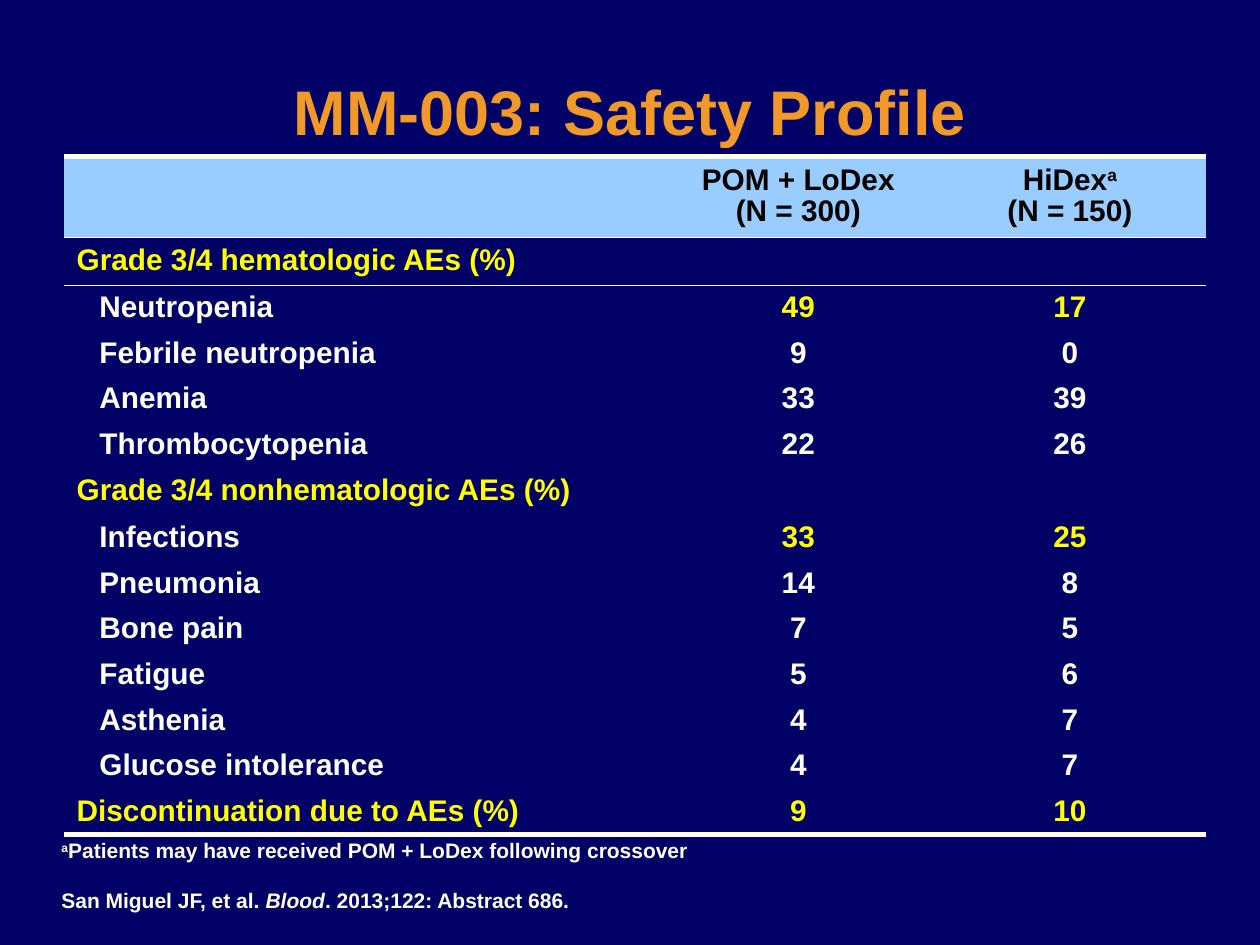
import pptx
import pptx.dml.color
import pptx.enum.text
import pptx.oxml
import pptx.oxml.ns
import pptx.util

Pt = pptx.util.Pt
RGBColor = pptx.dml.color.RGBColor
Align = pptx.enum.text.PP_ALIGN
Anchor = pptx.enum.text.MSO_ANCHOR

NAVY = RGBColor(0x00, 0x00, 0x66)
ORANGE = RGBColor(0xF0, 0x98, 0x28)
SKY = RGBColor(0x99, 0xCC, 0xFF)
YELLOW = RGBColor(0xFF, 0xFF, 0x00)
WHITE = RGBColor(0xFF, 0xFF, 0xFF)
BLACK = RGBColor(0x00, 0x00, 0x00)

NAMESPACE = pptx.oxml.ns.nsdecls("a")
NO_GRID_STYLE = "{2D5ABB26-0587-4C30-8999-92F81FD0307C}"
LABEL_INDENT = 13

HEADINGS = [
    [],
    [[("POM + LoDex", False)], [("(N = 300)", False)]],
    [[("HiDex", False), ("a", True)], [("(N = 150)", False)]],
]
SAFETY_ROWS = [
    ("Grade 3/4 hematologic AEs (%)", "", "", YELLOW, YELLOW),
    ("Neutropenia", "49", "17", WHITE, YELLOW),
    ("Febrile neutropenia", "9", "0", WHITE, WHITE),
    ("Anemia", "33", "39", WHITE, WHITE),
    ("Thrombocytopenia", "22", "26", WHITE, WHITE),
    ("Grade 3/4 nonhematologic AEs (%)", "", "", YELLOW, YELLOW),
    ("Infections", "33", "25", WHITE, YELLOW),
    ("Pneumonia", "14", "8", WHITE, WHITE),
    ("Bone pain", "7", "5", WHITE, WHITE),
    ("Fatigue", "5", "6", WHITE, WHITE),
    ("Asthenia", "4", "7", WHITE, WHITE),
    ("Glucose intolerance", "4", "7", WHITE, WHITE),
    ("Discontinuation due to AEs (%)", "9", "10", YELLOW, YELLOW),
]


def add_run(paragraph, text, size, color, raised=False, italic=False):
    run = paragraph.add_run()
    run.text = text
    run.font.size = Pt(size)
    run.font.name = "Arial"
    run.font.bold = True
    run.font.italic = italic
    run.font.color.rgb = color
    if raised:
        run._r.get_or_add_rPr().set("baseline", "30000")
    return run


def add_text_frame(slide, left, top, width, height, anchor):
    box = slide.shapes.add_textbox(Pt(left), Pt(top), Pt(width), Pt(height))
    box.text_frame.word_wrap = True
    box.text_frame.vertical_anchor = anchor
    return box.text_frame


def add_title(slide, left, top, width, height):
    frame = add_text_frame(slide, left, top, width, height, Anchor.MIDDLE)
    title = frame.paragraphs[0]
    title.alignment = Align.CENTER
    title.line_spacing = 0.9
    run = add_run(title, "MM-003: Safety Profile", 36, ORANGE)
    shadow = pptx.oxml.parse_xml(
        f'<a:effectLst {NAMESPACE}><a:outerShdw blurRad="38100" dist="38100" '
        'dir="2700000" algn="tl"><a:srgbClr val="000000"/></a:outerShdw></a:effectLst>'
    )
    fill = run._r.get_or_add_rPr().find(pptx.oxml.ns.qn("a:solidFill"))
    fill.addnext(shadow)


def add_border(cell, side, width):
    cell._tc.get_or_add_tcPr().append(pptx.oxml.parse_xml(
        f'<a:ln{side} {NAMESPACE} w="{Pt(width)}"><a:solidFill>'
        f'<a:srgbClr val="{WHITE}"/></a:solidFill></a:ln{side}>'
    ))


def fill_cell(cell, lines, color, alignment, indent=0):
    cell.vertical_anchor = Anchor.MIDDLE
    cell.margin_top = cell.margin_bottom = Pt(2.88)
    frame = cell.text_frame
    for index, line in enumerate(lines or [[]]):
        paragraph = frame.add_paragraph() if index else frame.paragraphs[0]
        paragraph.alignment = alignment
        paragraph.line_spacing = 0.94
        if indent:
            paragraph._p.get_or_add_pPr().set("indent", str(Pt(indent)))
        for text, raised in line:
            add_run(paragraph, text, 17, color, raised)


def add_safety_table(slide, left, top, width, height):
    header_height, value_width = 46.4, 155.2
    row_count = len(SAFETY_ROWS)
    graphic = slide.shapes.add_table(
        row_count + 1, 3, Pt(left), Pt(top), Pt(width), Pt(height))
    table = graphic.table
    table.first_row = table.horz_banding = False
    style = table._tbl.tblPr.find(pptx.oxml.ns.qn("a:tableStyleId"))
    style.text = NO_GRID_STYLE

    for column, column_width in enumerate((width - 2 * value_width, value_width, value_width)):
        table.columns[column].width = Pt(column_width)
    for row in table.rows:
        row.height = Pt((height - header_height) / row_count)
    table.rows[0].height = Pt(header_height)

    for column, heading in enumerate(HEADINGS):
        cell = table.cell(0, column)
        fill_cell(cell, heading, BLACK, Align.CENTER)
        add_border(cell, "T", 3)
        add_border(cell, "B", 1)
        cell.fill.solid()
        cell.fill.fore_color.rgb = SKY

    for row, (label, *values, label_color, value_color) in enumerate(SAFETY_ROWS, 1):
        indent = LABEL_INDENT if label_color == WHITE else 0
        fill_cell(table.cell(row, 0), [[(label, False)]], label_color, Align.LEFT, indent)
        for column, value in enumerate(values, 1):
            lines = [[(value, False)]] if value else []
            fill_cell(table.cell(row, column), lines, value_color, Align.CENTER)
        for column in range(3):
            cell = table.cell(row, column)
            if row == 1:
                add_border(cell, "T", 1)
            if row == row_count:
                add_border(cell, "B", 3)
            cell.fill.background()


def add_footnotes(slide, left, top, width, height):
    frame = add_text_frame(slide, left, top, width, height, Anchor.BOTTOM)
    crossover = frame.paragraphs[0]
    add_run(crossover, "a", 12, WHITE, raised=True)
    add_run(crossover, "Patients may have received POM + LoDex following crossover", 12, WHITE)
    citation = frame.add_paragraph()
    citation.space_before = Pt(14)
    add_run(citation, "San Miguel JF, et al. ", 12, WHITE)
    add_run(citation, "Blood", 12, WHITE, italic=True)
    add_run(citation, ". 2013;122: Abstract 686.", 12, WHITE)


def main():
    presentation = pptx.Presentation()
    presentation.slide_width = Pt(720)
    presentation.slide_height = Pt(540)
    slide = presentation.slides.add_slide(presentation.slide_layouts[6])
    slide.background.fill.solid()
    slide.background.fill.fore_color.rgb = NAVY
    add_title(slide, 36, 26, 648, 80)
    add_safety_table(slide, 36.6, 89.3, 652.4, 385.2)
    add_footnotes(slide, 28, 490.4, 661, 34.6)
    presentation.save("out.pptx")


if __name__ == "__main__":
    main()
